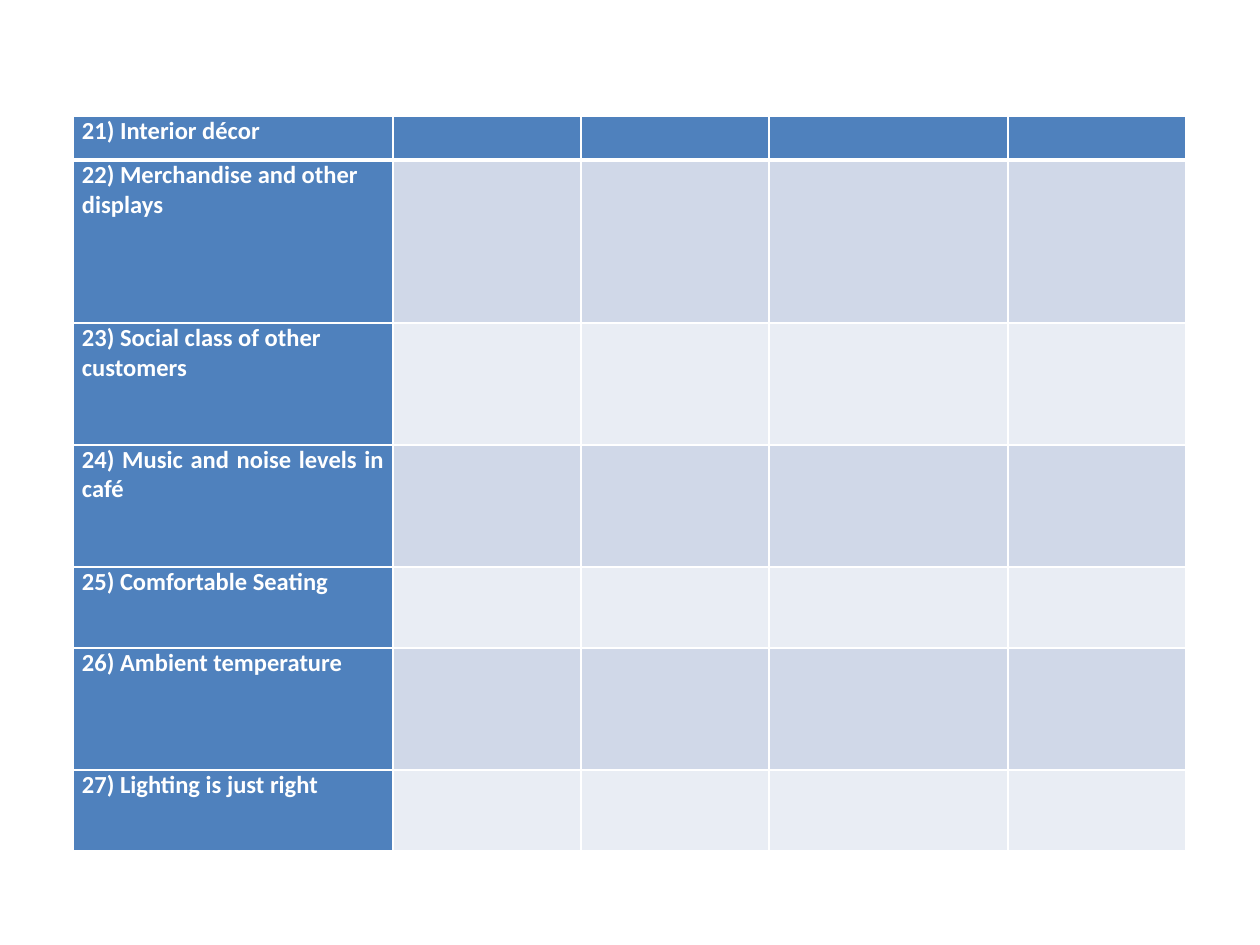
import pptx
import pptx.dml.color
import pptx.enum.text
import pptx.oxml
import pptx.oxml.ns
import pptx.util

RGBColor = pptx.dml.color.RGBColor
WHITE = RGBColor(0xFF, 0xFF, 0xFF)
BLUE = RGBColor(0x4F, 0x81, 0xBD)
BAND_DARK = RGBColor(0xD0, 0xD8, 0xE8)
BAND_LIGHT = RGBColor(0xE9, 0xED, 0xF4)

PX = pptx.util.Inches(1) // 126

COLUMN_WIDTHS = [320, 188, 188, 239, 178]
RATING_ITEMS = [
    ("21) Interior décor", 44),
    ("22) Merchandise and other\ndisplays", 163),
    ("23) Social class of other\ncustomers", 122),
    ("24) Music and noise levels in café", 122),
    ("25) Comfortable Seating", 81),
    ("26) Ambient temperature", 122),
    ("27) Lighting is just right", 81),
]


class SlideBuilder:
    font_name = "Calibri"
    font_size = pptx.util.Pt(14)
    side_margin = 9

    def __init__(self, slide):
        self.slide = slide

    def rating_table(self, left, top, column_widths, items):
        heights = [height for _, height in items]
        table = self.slide.shapes.add_table(
            len(items), len(column_widths), left * PX, top * PX,
            sum(column_widths) * PX, sum(heights) * PX).table
        table.first_col = True
        for column, width in zip(table.columns, column_widths):
            column.width = width * PX
        for index, (label, height) in enumerate(items):
            row = table.rows[index]
            row.height = height * PX
            band = BAND_DARK if index % 2 else BAND_LIGHT
            for position, cell in enumerate(row.cells):
                self.cell(cell, BLUE if index == 0 or position == 0 else band)
                self.borders(cell, top=3 if index == 1 else 1,
                             bottom=3 if index == 0 else 1)
            self.label(row.cells[0], label)

    def cell(self, cell, color):
        cell.margin_left = cell.margin_right = self.side_margin * PX
        cell.margin_top = cell.margin_bottom = 0
        cell.fill.solid()
        cell.fill.fore_color.rgb = color

    def label(self, cell, text):
        cell.text_frame.text = text
        for paragraph in cell.text_frame.paragraphs:
            paragraph.alignment = pptx.enum.text.PP_ALIGN.JUSTIFY
            for run in paragraph.runs:
                run.font.name = self.font_name
                run.font.size = self.font_size
                run.font.bold = True
                run.font.color.rgb = WHITE

    def borders(self, cell, top, bottom):
        properties = cell._tc.get_or_add_tcPr()
        sides = [("L", 1), ("R", 1), ("T", top), ("B", bottom)]
        for index, (side, points) in enumerate(sides):
            properties.insert(index, pptx.oxml.parse_xml(
                f'<a:ln{side} {pptx.oxml.ns.nsdecls("a")} w="{pptx.util.Pt(points)}">'
                f'<a:solidFill><a:srgbClr val="{WHITE}"/></a:solidFill></a:ln{side}>'))


def main():
    presentation = pptx.Presentation()
    presentation.slide_width = 1260 * PX
    presentation.slide_height = 945 * PX
    builder = SlideBuilder(presentation.slides.add_slide(presentation.slide_layouts[6]))
    builder.rating_table(73, 116, COLUMN_WIDTHS, RATING_ITEMS)
    presentation.save("out.pptx")


if __name__ == "__main__":
    main()
